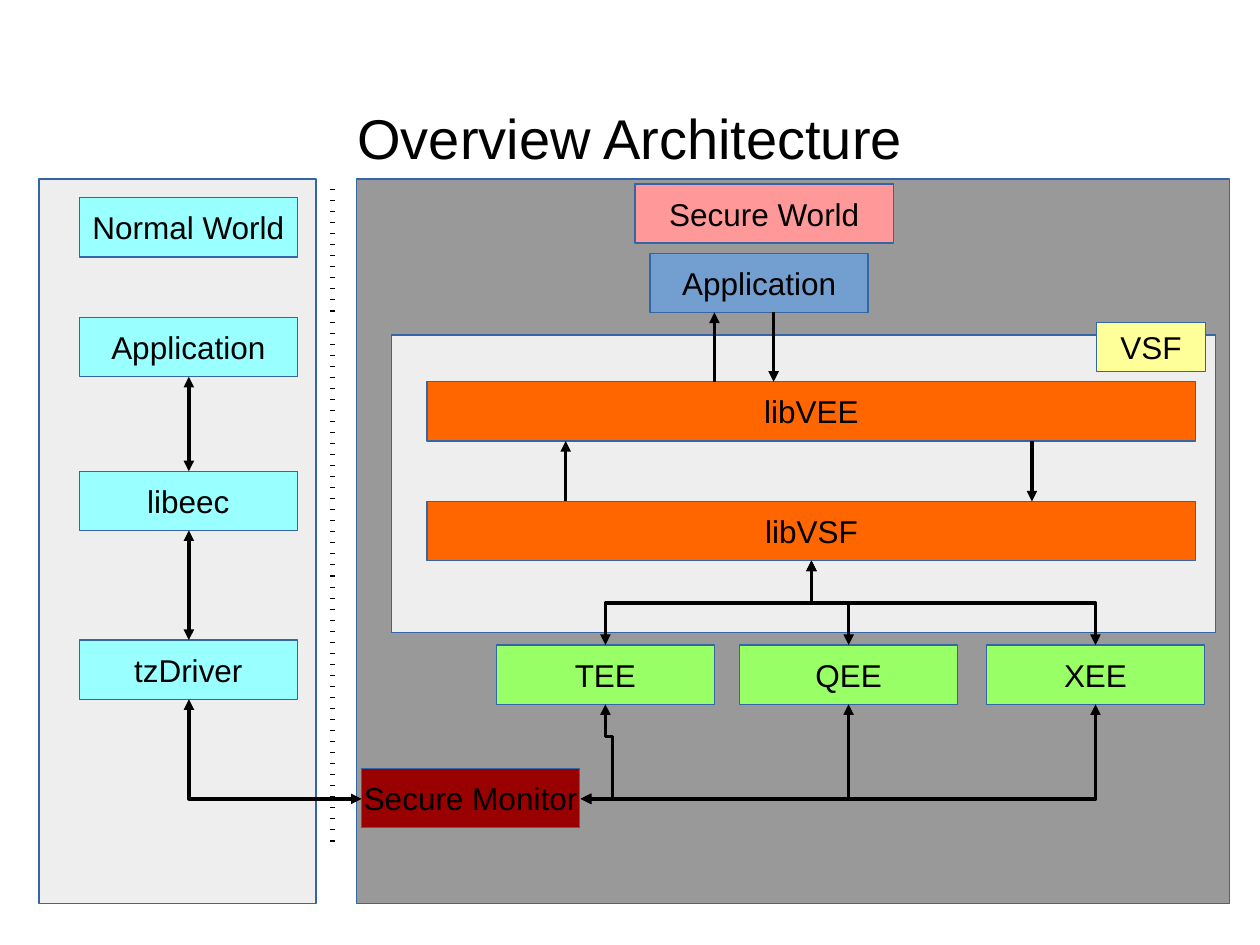
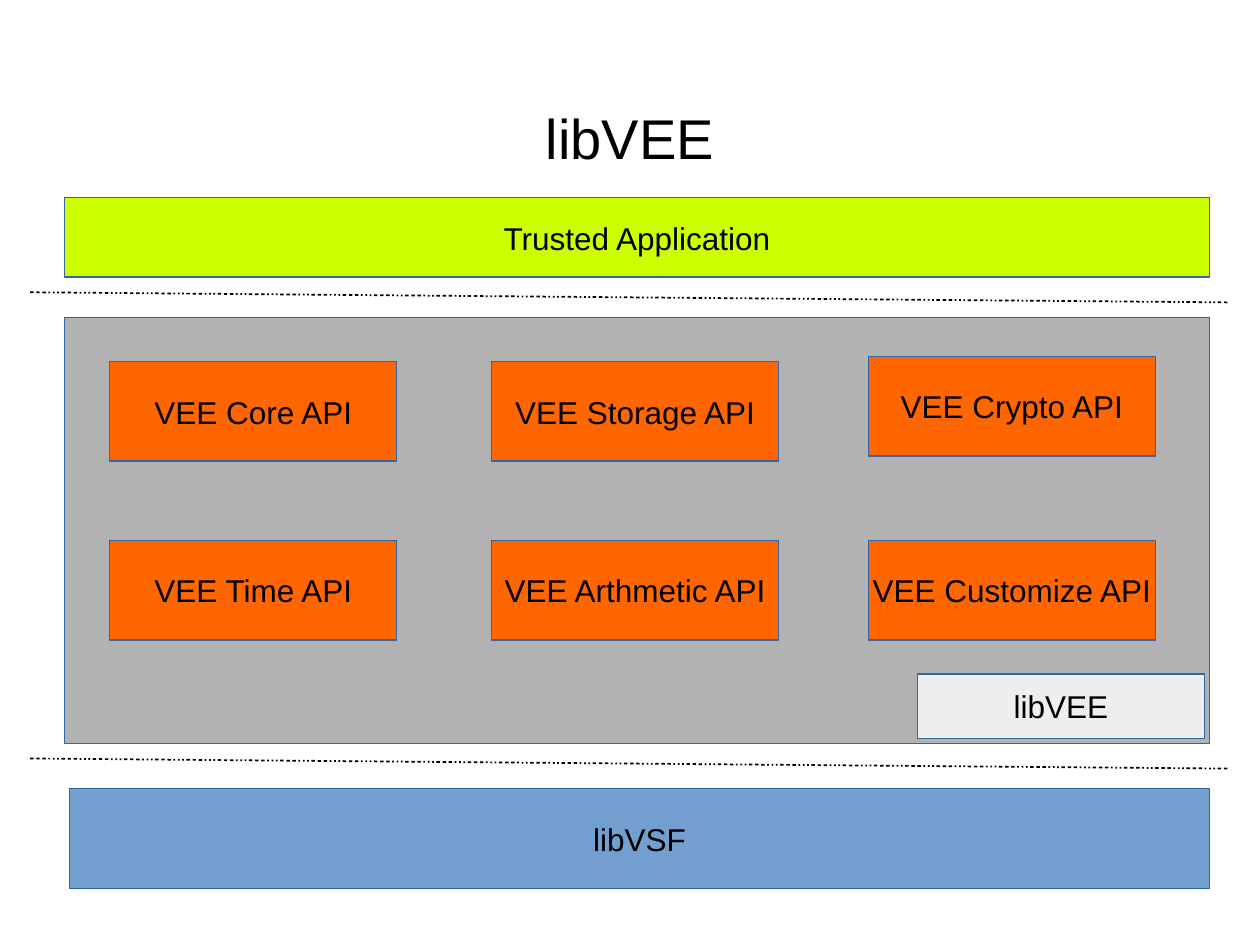
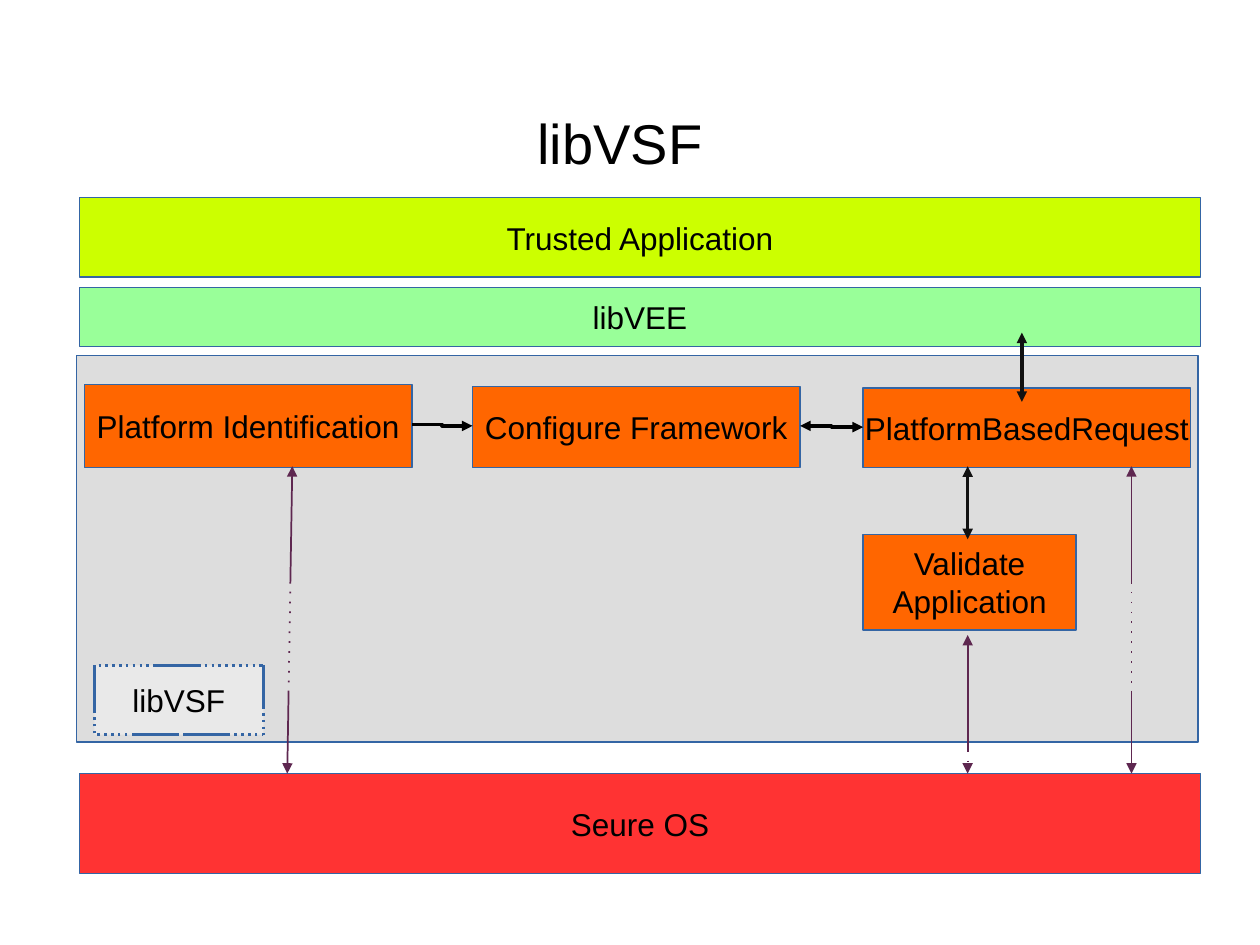
from dataclasses import dataclass

from lxml.etree import SubElement as Sub
from pptx import Presentation
from pptx.dml.color import RGBColor as RGB
from pptx.enum.shapes import MSO_CONNECTOR as CONN, MSO_SHAPE as SHAPE
from pptx.enum.text import MSO_ANCHOR as ANCHOR, PP_ALIGN as ALIGN
from pptx.oxml.ns import qn
from pptx.util import Inches, Pt


@dataclass(frozen=True)
class Theme:
    font: str = "Arial"
    title_size: int = 32
    label_size: int = 18
    ink: str = "000000"
    soft_ink: str = "111111"
    outline: str = "3465A4"
    plum: str = "5E2750"
    dark_gray: str = "999999"
    mid_gray: str = "B2B2B2"
    light_gray: str = "DDDDDD"
    pale: str = "EEEEEE"
    cyan: str = "99FFFF"
    pink: str = "FF9999"
    maroon: str = "990000"
    red: str = "FF3333"
    green: str = "99FF66"
    mint: str = "99FF99"
    lime: str = "CCFF00"
    orange: str = "FF6600"
    yellow: str = "FFFF99"
    blue: str = "729FCF"


T = Theme()
TICKS = [(20, 190)]
DASH_DOTS = [(200, 150)] * 3 + [(100, 150)] * 3
LONG_DASH_DOTS = [(6200, 470)] + [(100, 470)] * 10
FRAME_DASH_DOTS = [(1800, 160)] + [(100, 160)] * 8


def apply(obj, values):
    for name, value in values.items():
        setattr(obj, name, value)


def write(sp, text, size, inset=(0.1, 0.05), wrap=False):
    tf = sp.text_frame
    mx, my = map(Inches, inset)
    apply(tf, {"word_wrap": wrap, "vertical_anchor": ANCHOR.MIDDLE,
               "margin_left": mx, "margin_right": mx,
               "margin_top": my, "margin_bottom": my})
    for i, line in enumerate(text.split("\n")):
        p = tf.add_paragraph() if i else tf.paragraphs[0]
        p.alignment = ALIGN.CENTER
        r = p.add_run()
        r.text = line
        apply(r.font, {"name": T.font, "size": Pt(size)})
        r.font.color.rgb = RGB.from_string(T.ink)


def dash_line(line, stops):
    ln = line._get_or_add_ln()
    dash = Sub(ln, qn("a:custDash"))
    for length, gap in stops:
        Sub(dash, qn("a:ds"), d=str(length * 1000), sp=str(gap * 1000))


def title(slide, text, x, y, w, h):
    sp = slide.shapes.add_textbox(*map(Inches, (x, y, w, h)))
    write(sp, text, T.title_size, (0, 0), True)


def box(slide, x, y, w, h, color, text="", inset=(0.1, 0.05)):
    sp = slide.shapes.add_shape(SHAPE.RECTANGLE, *map(Inches, (x, y, w, h)))
    sp.shadow.inherit = False
    sp.fill.solid()
    sp.fill.fore_color.rgb = RGB.from_string(color)
    sp.line.color.rgb = RGB.from_string(T.outline)
    sp.line.width = Pt(0)
    if text:
        write(sp, text, T.label_size, inset)
    return sp


def style_line(cn, color, width, dash, ends):
    cn.line.color.rgb = RGB.from_string(color)
    cn.line.width = Pt(width)
    if dash:
        dash_line(cn.line, dash)
    for end in ends:
        Sub(cn.line._get_or_add_ln(), qn(f"a:{end}End"), type="triangle")
    Sub(cn._element.spPr, qn("a:effectLst"))


def line(slide, start, end, color=T.ink, width=0, dash=None, ends=()):
    cn = slide.shapes.add_connector(CONN.STRAIGHT, *map(Inches, start + end))
    style_line(cn, color, width, dash, ends)


def elbow(slide, start, end, bends=3, vertical=False, adjust=(),
          ends=("head", "tail")):
    (x1, y1), (x2, y2) = start, end
    cn = slide.shapes.add_connector(CONN.ELBOW, *map(Inches, start + end))
    if vertical:
        w, h = y2 - y1, abs(x2 - x1)
        apply(cn, {"left": Inches((x1 + x2 - w) / 2),
                   "top": Inches((y1 + y2 - h) / 2),
                   "width": Inches(w), "height": Inches(h)})
        xfrm = cn._element.spPr.find(qn("a:xfrm"))
        leftward = x2 < x1
        xfrm.set("rot", str((90 if leftward else 270) * 60000))
        xfrm.set("flipH", "0" if leftward else "1")
    geom = cn._element.spPr.find(qn("a:prstGeom"))
    geom.set("prst", f"bentConnector{bends}")
    for i, value in enumerate(adjust, 1):
        Sub(geom.find(qn("a:avLst")), qn("a:gd"), name=f"adj{i}",
            fmla=f"val {round(value * 100000)}")
    style_line(cn, T.ink, 0, None, ends)


def overview(slide):
    w, h = 1.73, 0.47
    box(slide, 2.83, 1.42, 6.93, 5.75, T.dark_gray)
    box(slide, 3.11, 2.66, 6.54, 2.36, T.pale)
    box(slide, 0.31, 1.42, 2.2, 5.75, T.pale)
    title(slide, "Overview Architecture", 0.5, 0.46, 9, 1.25)
    line(slide, (2.64, 1.5), (2.64, 6.69), width=3, dash=TICKS)

    normal = [("Normal World", 1.57), ("Application", 2.52),
              ("libeec", 3.74), ("tzDriver", 5.08)]
    for text, y in normal:
        box(slide, 0.63, y, w, h, T.cyan, text)
    box(slide, 5.04, 1.46, 2.05, h, T.pink, "Secure World")
    box(slide, 2.87, 6.1, w, h, T.maroon, "Secure Monitor")
    engines = [("TEE", 3.94), ("QEE", 5.87), ("XEE", 7.83)]
    for text, x in engines:
        box(slide, x, 5.12, w, h, T.green, text)
    for text, y in [("libVSF", 3.98), ("libVEE", 3.03)]:
        box(slide, 3.39, y, 6.1, h, T.orange, text)
    box(slide, 5.16, 2.01, w, h, T.blue, "Application")

    driver_x = 1.5
    for (_, upper), (_, lower) in zip(normal[1:], normal[2:]):
        elbow(slide, (driver_x, upper + h), (driver_x, lower), vertical=True)
    for x, y1, y2 in [(4.49, 3.98, 3.5), (8.19, 3.5, 3.98),
                      (5.67, 3.03, 2.48), (6.14, 2.48, 3.03)]:
        line(slide, (x, y1), (x, y2), ends=["tail"])

    monitor = (4.61, 6.34)
    for text, x in engines:
        center = x + w / 2
        elbow(slide, (6.44, 4.45), (center, 5.12), vertical=True)
        if text == "TEE":
            elbow(slide, monitor, (center, 5.59), 4, adjust=(1.29, 0.66))
        else:
            elbow(slide, monitor, (center, 5.59), 2)
    elbow(slide, (driver_x, 5.55), (2.87, 6.34), 2, vertical=True)
    box(slide, 8.7, 2.56, 0.87, 0.39, T.yellow, "VSF")


def vee_library(slide):
    title(slide, "libVEE", 0.5, 0.57, 9, 1.04)
    box(slide, 0.51, 2.52, 9.09, 3.38, T.mid_gray)
    columns = [(0.87, 2.87, ("Core", "Time")),
               (3.9, 2.87, ("Storage", "Arthmetic")),
               (6.89, 2.83, ("Crypto", "Customize"))]
    for x, top, names in columns:
        for y, name in zip((top, 4.29), names):
            box(slide, x, y, 2.28, 0.79, T.orange, f"VEE {name} API")
    box(slide, 0.55, 6.26, 9.05, 0.79, T.blue, "libVSF")
    for y in (6.02, 2.32):
        line(slide, (0.24, y), (9.76, y + 0.08), width=1, dash=DASH_DOTS)
    box(slide, 7.28, 5.35, 2.28, 0.51, T.pale, "libVEE")
    box(slide, 0.51, 1.57, 9.09, 0.63, T.lime, "Trusted Application")


def vsf_library(slide):
    box(slide, 0.61, 2.82, 8.9, 3.07, T.light_gray)
    title(slide, "libVSF", 0.42, 0.5, 9, 1.25)
    for y, h, color, text in [(6.14, 0.79, T.red, "Seure OS"),
                              (2.28, 0.47, T.mint, "libVEE"),
                              (1.57, 0.63, T.lime, "Trusted Application")]:
        box(slide, 0.63, y, 8.9, h, color, text)
    for x, y, w, h, text in [(3.75, 3.07, 2.6, 0.64, "Configure Framework"),
                             (0.67, 3.05, 2.6, 0.66, "Platform Identification"),
                             (6.85, 3.08, 2.6, 0.63, "PlatformBasedRequest"),
                             (6.85, 4.24, 1.69, 0.76, "Validate\nApplication")]:
        box(slide, x, y, w, h, T.orange, text)

    tag = box(slide, 0.75, 5.28, 1.34, 0.55, T.pale, "libVSF", (0.11, 0.06))
    tag.line.width = Pt(1.5)
    dash_line(tag.line, FRAME_DASH_DOTS)
    fill = tag._element.spPr.find(qn("a:solidFill"))
    Sub(fill[0], qn("a:alpha"), val="72000")

    both = ("head", "tail")
    elbow(slide, (6.35, 3.38), (6.85, 3.39))
    elbow(slide, (3.27, 3.37), (3.75, 3.38), ends=["tail"])
    for x, y1, y2 in [(8.11, 2.64, 3.19), (7.68, 3.7, 4.28)]:
        line(slide, (x, y1), (x, y2), T.soft_ink, ends=both)
    for x1, y1, x2 in [(8.98, 3.7, 8.98), (7.68, 5.04, 7.68),
                       (2.32, 3.7, 2.28)]:
        line(slide, (x1, y1), (x2, 6.14), T.plum, 1, LONG_DASH_DOTS, both)


def main():
    prs = Presentation()
    apply(prs, {"slide_width": Inches(10), "slide_height": Inches(7.5)})
    for build in (overview, vee_library, vsf_library):
        build(prs.slides.add_slide(prs.slide_layouts[6]))
    prs.save("out.pptx")


if __name__ == "__main__":
    main()
